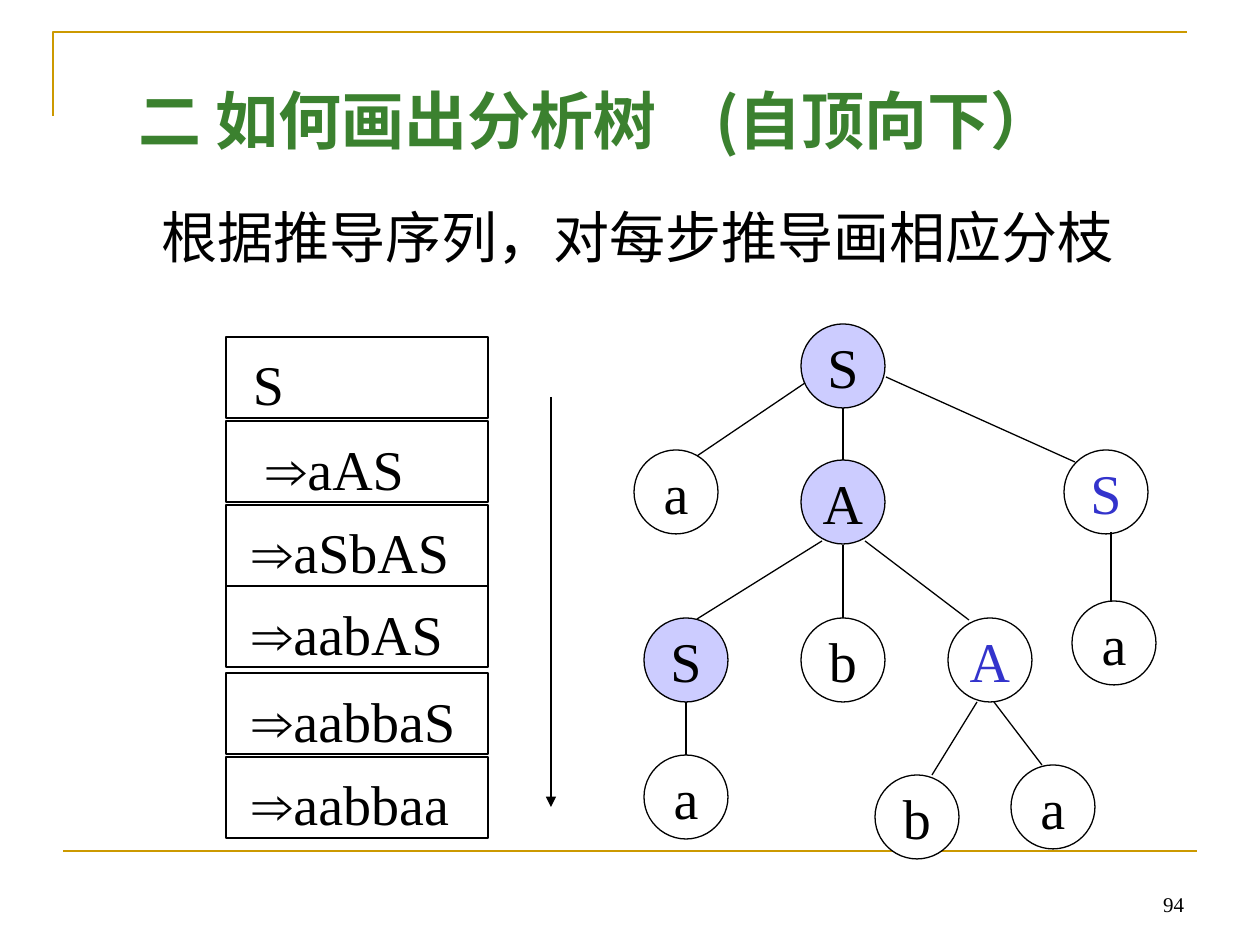
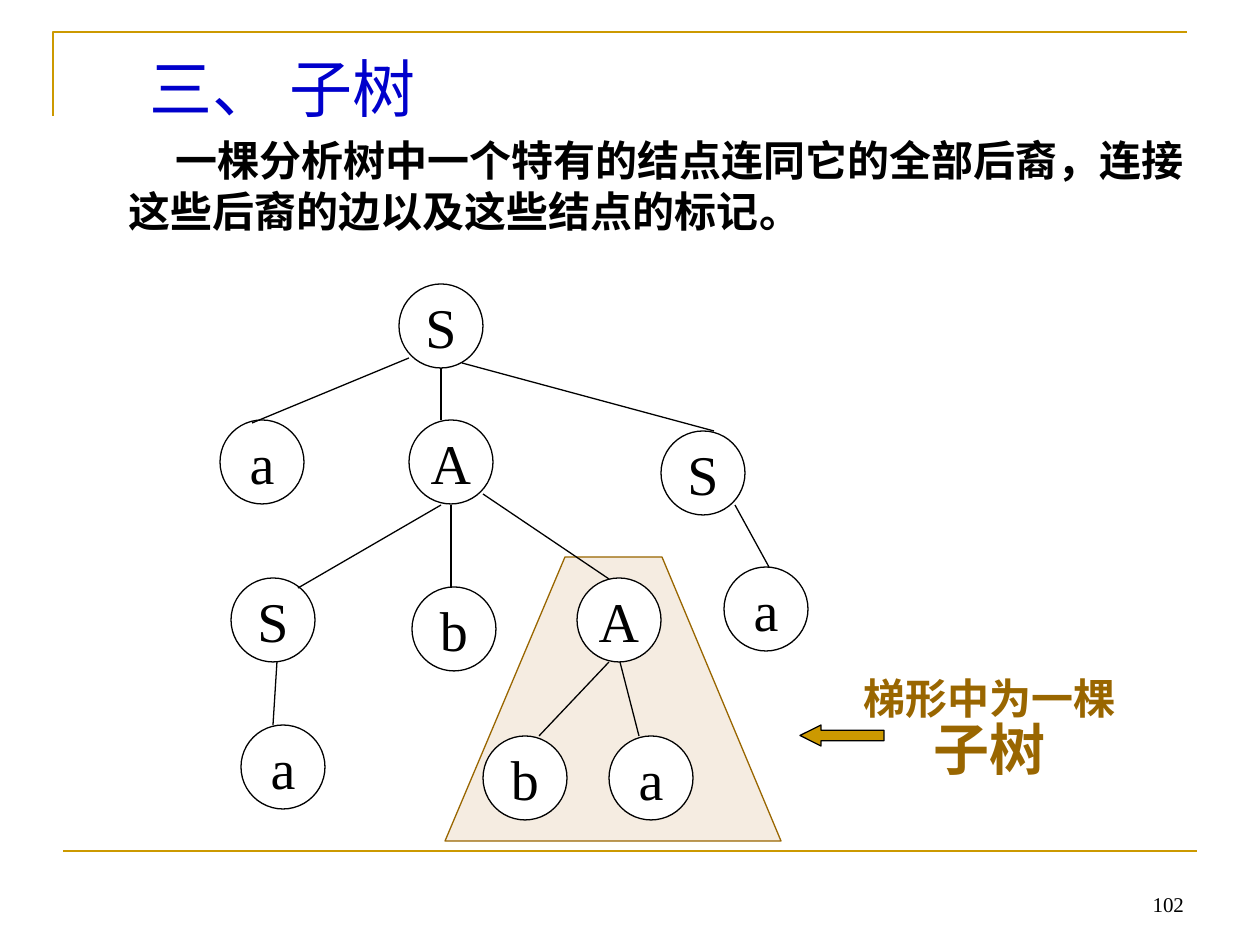
from lxml import etree
from pptx import Presentation
from pptx.dml.color import RGBColor
from pptx.enum.shapes import MSO_CONNECTOR, MSO_SHAPE
from pptx.enum.text import MSO_ANCHOR, PP_ALIGN
from pptx.oxml.ns import qn
from pptx.util import Pt

# Shared style
EMU_PER_PX = 914400 / 126
SERIF, CJK = "Times New Roman", "Noto Sans CJK SC"
BLACK, WHITE, GOLD, BROWN = "000000", "FFFFFF", "CC9900", "996600"
LILAC, BLUE = "CCCCFF", "3333CC"
INSET_X, INSET_Y = 13, 6
NODE_SIZE = 84


def px(length):
    return round(length * EMU_PER_PX)


def rgb(hex_color):
    return RGBColor.from_string(hex_color)


def style_paragraph(paragraph, size, color=BLACK, bold=False, font=SERIF, ea=CJK,
                    align=PP_ALIGN.LEFT, indent=0):
    paragraph.alignment = align
    if indent:
        paragraph._p.get_or_add_pPr().set("indent", str(px(indent)))
    for run in paragraph.runs:
        run.font.size = Pt(size)
        run.font.bold = bold
        run.font.color.rgb = rgb(color)
        run.font.name = font
        if ea:
            etree.SubElement(run._r.get_or_add_rPr(), qn("a:ea"), typeface=ea)


def set_tab(paragraph, position):
    tabs = etree.SubElement(paragraph._p.get_or_add_pPr(), qn("a:tabLst"))
    etree.SubElement(tabs, qn("a:tab"), pos=str(px(position)), algn="l")


def set_insets(frame, top=INSET_Y):
    frame.margin_left = frame.margin_right = px(INSET_X)
    frame.margin_top, frame.margin_bottom = px(top), px(INSET_Y)


def add_text(slide, box, text, size, anchor=MSO_ANCHOR.TOP, tab=None, **style):
    frame = slide.shapes.add_textbox(*map(px, box)).text_frame
    frame.word_wrap = True
    frame.vertical_anchor = anchor
    set_insets(frame)
    frame.text = text
    if tab:
        set_tab(frame.paragraphs[0], tab)
    for paragraph in frame.paragraphs:
        style_paragraph(paragraph, size, **style)
    return frame


def add_title(slide, box, text, color, **style):
    add_text(slide, box, text, 36, color=color, **style)


def paint(shape, fill, line, width=0.75):
    shape.shadow.inherit = False
    if fill:
        shape.fill.solid()
        shape.fill.fore_color.rgb = rgb(fill)
    else:
        shape.fill.background()
    shape.line.color.rgb = rgb(line)
    shape.line.width = Pt(width)


def add_line(slide, start, end, color=BLACK, width=0.75, arrow=False):
    line = slide.shapes.add_connector(MSO_CONNECTOR.STRAIGHT, *map(px, start + end))
    line.line.color.rgb = rgb(color)
    line.line.width = Pt(width)
    if arrow:
        etree.SubElement(line.line._get_or_add_ln(), qn("a:tailEnd"), type="triangle")
    etree.SubElement(line._element.spPr, qn("a:effectLst"))


def add_outline(slide, points, closed, fill, line, width=0.75):
    builder = slide.shapes.build_freeform(*points[0], scale=EMU_PER_PX)
    builder.add_line_segments(points[1:], close=closed)
    outline = builder.convert_to_shape()
    paint(outline, fill, line, width)
    return outline


def add_node(slide, symbol, left, top, fill=WHITE, color=BLACK):
    node = slide.shapes.add_shape(MSO_SHAPE.OVAL, px(left), px(top),
                                  px(NODE_SIZE), px(NODE_SIZE))
    paint(node, fill, BLACK)
    frame = node.text_frame
    frame.word_wrap = False
    frame.vertical_anchor = MSO_ANCHOR.MIDDLE
    set_insets(frame)
    frame.text = symbol
    style_paragraph(frame.paragraphs[0], 32, color, ea=None, align=PP_ALIGN.CENTER)


def add_tree(slide, nodes, branches):
    for node in nodes:
        add_node(slide, *node)
    for x1, y1, x2, y2 in branches:
        add_line(slide, (x1, y1), (x2, y2))


def add_derivation_step(slide, top, text, indent):
    step = slide.shapes.add_shape(MSO_SHAPE.RECTANGLE, px(226), px(top), px(262), px(81))
    paint(step, None, BLACK)
    frame = step.text_frame
    frame.vertical_anchor = MSO_ANCHOR.TOP
    set_insets(frame, top=13)
    frame.text = text
    style_paragraph(frame.paragraphs[0], 32, ea=None, indent=indent)


def add_framed_slide(prs, number):
    slide = prs.slides.add_slide(prs.slide_layouts[6])
    add_outline(slide, [(53, 116), (53, 32), (1187, 32)], False, None, GOLD, 1.5)
    add_line(slide, (63, 851), (1197, 851), GOLD, 1.5)
    add_text(slide, (903, 860, 294, 63), number, 12, MSO_ANCHOR.BOTTOM,
             align=PP_ALIGN.RIGHT, ea=None)
    return slide


def build_parse_tree_slide(prs):
    slide = add_framed_slide(prs, "94")
    add_text(slide, (73, 107, 1102, 169), "根据推导序列，对每步推导画相应分枝", 32,
             MSO_ANCHOR.BOTTOM, indent=75)

    # Parse tree: symbol, left, top, fill, text colour
    nodes = [
        ("S", 801, 324, LILAC), ("a", 634, 450), ("A", 801, 460, LILAC),
        ("S", 1064, 450, WHITE, BLUE), ("S", 644, 618, LILAC), ("b", 801, 618),
        ("A", 948, 618, WHITE, BLUE), ("a", 1072, 601), ("a", 644, 755),
        ("b", 875, 775), ("a", 1011, 765),
    ]
    branches = [
        (843, 408, 843, 460), (805, 383, 697, 456), (886, 377, 1075, 462),
        (843, 545, 843, 618), (822, 541, 697, 619), (865, 541, 969, 620),
        (686, 702, 686, 755), (977, 702, 932, 775), (994, 702, 1042, 765),
        (1111, 532, 1111, 601),
    ]
    add_tree(slide, nodes, branches)

    # Derivation sequence
    steps = [
        (337, "S", 14), (421, "⇒aAS", 28), (505, "⇒aSbAS", 14),
        (586, "⇒aabAS", 14), (673, "⇒aabbaS", 14), (757, "⇒aabbaa", 14),
    ]
    for step in steps:
        add_derivation_step(slide, *step)
    add_line(slide, (551, 397), (551, 807), arrow=True)

    add_title(slide, (125, 76, 1050, 104), "二 如何画出分析树\t(自顶向下）", "3B812F",
              bold=True, font=CJK, tab=577)


def build_subtree_slide(prs):
    slide = add_framed_slide(prs, "102")

    # Trapezoid around the subtree
    trapezoid = add_outline(slide, [(781, 841), (662, 557), (565, 557), (445, 841)],
                            True, "EEDFCC", BROWN)
    tint = trapezoid.fill._xPr.find(qn("a:solidFill"))[0]
    etree.SubElement(tint, qn("a:alpha"), val="59000")

    add_text(slide, (116, 129, 1102, 135),
             "一棵分析树中一个特有的结点连同它的全部后裔，连接这些后裔的边以及这些结点的标记。",
             24, bold=True, indent=47)

    # Parse tree
    nodes = [
        ("S", 399, 284), ("a", 220, 420), ("A", 409, 420), ("S", 661, 431),
        ("S", 231, 578), ("b", 412, 587), ("A", 577, 578), ("a", 724, 567),
        ("a", 241, 725), ("b", 483, 736), ("a", 609, 736),
    ]
    branches = [
        (441, 368, 441, 420), (451, 505, 451, 588), (409, 358, 252, 423),
        (462, 363, 714, 431), (441, 505, 298, 588), (483, 494, 609, 579),
        (277, 662, 273, 725), (620, 662, 639, 736), (609, 662, 539, 736),
        (735, 505, 769, 567),
    ]
    add_tree(slide, nodes, branches)

    add_title(slide, (136, 43, 400, 104), "三、 子树", "0000CC")

    # Callout
    callout = add_text(slide, (828, 667, 324, 140), "梯形中为一棵\n子树", 24,
                       color=BROWN, bold=True, align=PP_ALIGN.CENTER)
    subtree_term = callout.paragraphs[1]
    subtree_term.line_spacing = 0.88
    subtree_term.runs[0].font.size = Pt(32)
    subtree_term.runs[0].font.name = "Arial Narrow"
    pointer = slide.shapes.add_shape(MSO_SHAPE.LEFT_ARROW, px(800), px(725), px(84), px(21))
    pointer.adjustments[0], pointer.adjustments[1] = 0.5, 1
    paint(pointer, GOLD, BLACK)


def main():
    prs = Presentation()
    prs.slide_width, prs.slide_height = px(1260), px(945)
    build_parse_tree_slide(prs)
    build_subtree_slide(prs)
    prs.save("out.pptx")


if __name__ == "__main__":
    main()
